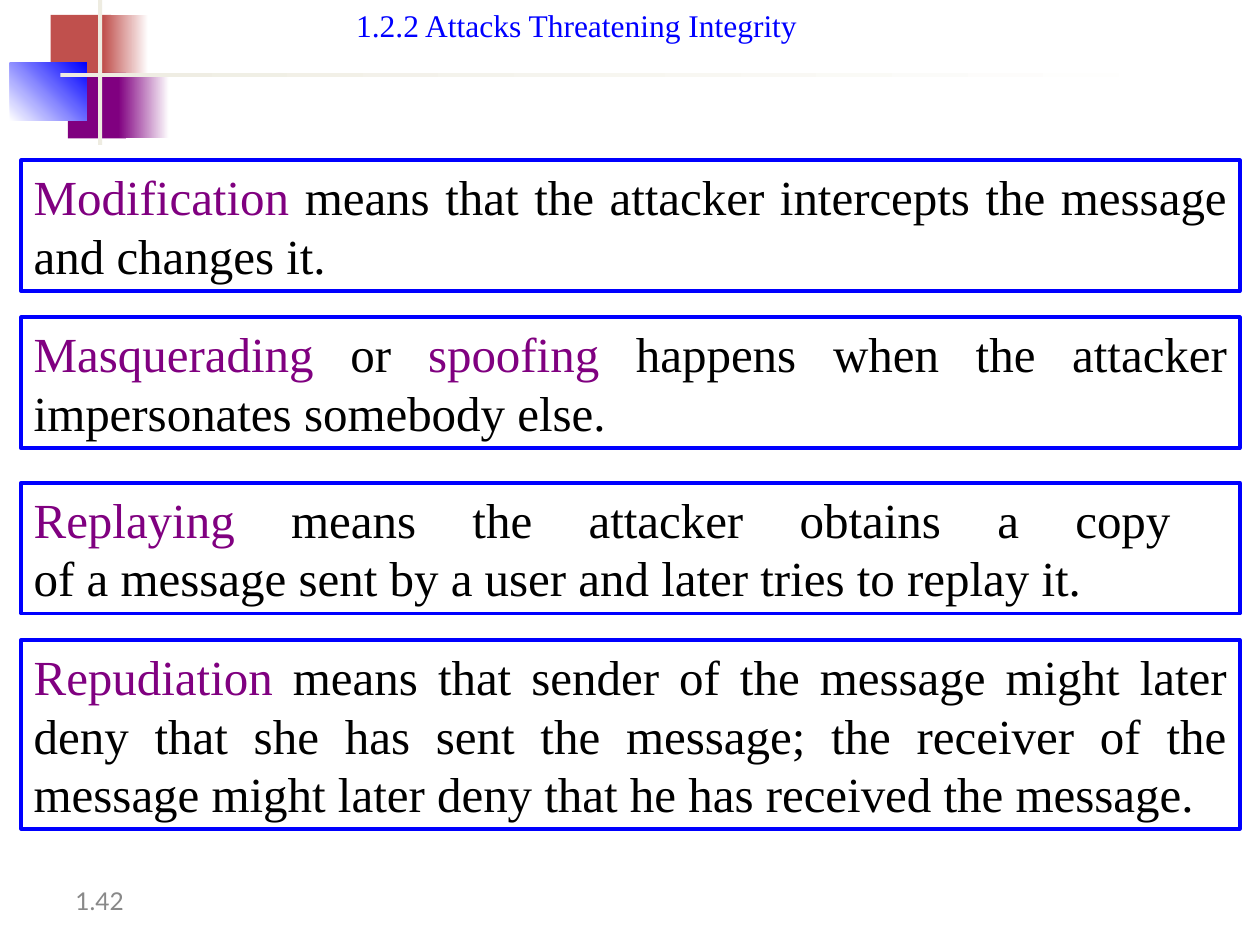
from pptx import Presentation
from pptx.dml.color import RGBColor
from pptx.enum.shapes import MSO_SHAPE
from pptx.enum.text import MSO_ANCHOR, PP_ALIGN
from pptx.util import Cm, Pt

BLUE = RGBColor(0x00, 0x00, 0xFF)
PURPLE = RGBColor(0x80, 0x00, 0x80)
RED = RGBColor(0xC0, 0x50, 0x4D)
CREAM = RGBColor(0xEE, 0xEC, 0xE1)
GREY = RGBColor(0x89, 0x89, 0x89)
BLACK = RGBColor(0x00, 0x00, 0x00)
WHITE = RGBColor(0xFF, 0xFF, 0xFF)

SERIF = "Times New Roman"
BREAK = "\n"

DECORATION = [
    ((1.02, 0.3, 1.22, 1.32), (RED,), 0),
    ((2.08, 0.3, 0.91, 1.32), (RED, WHITE), 0),
    ((1.37, 1.47, 1.17, 1.32), (PURPLE,), 0),
    ((2.39, 1.47, 1.02, 1.32), (PURPLE, WHITE), 0),
    ((0.2, 1.27, 1.55, 1.17), (WHITE, BLUE), 45),
    ((1.98, 0, 0.08, 2.92), (CREAM,), 0),
    ((1.22, 1.47, 22.86, 0.08), (CREAM, WHITE), 0),
]

ATTACKS = [
    (3.23, 2.64, [
        ("Modification ", PURPLE),
        ("means that the attacker intercepts the message and changes it.", BLACK),
    ]),
    (6.4, 2.64, [
        ("Masquerading", PURPLE),
        (" or ", BLACK),
        ("spoofing", PURPLE),
        (" happens when the attacker impersonates somebody else.", BLACK),
    ]),
    (9.73, 2.64, [
        ("Replaying", PURPLE),
        (" means the attacker obtains a copy ", BLACK),
        (BREAK, BLACK),
        ("of a message sent by a user and later tries to replay it.", BLACK),
    ]),
    (12.9, 3.81, [
        ("Repudiation", PURPLE),
        (" means that sender of the message might later deny that she has sent"
         " the message; the receiver of the message might later deny that he"
         " has received the message.", BLACK),
    ]),
]


class SlideBuilder:
    frame_format = {
        "word_wrap": True,
        "margin_left": Cm(0.25),
        "margin_right": Cm(0.25),
        "margin_top": Cm(0.13),
        "margin_bottom": Cm(0.13),
    }

    def __init__(self, slide):
        self.slide = slide

    def apply(self, target, values):
        for attribute, value in values.items():
            setattr(target, attribute, value)

    def rectangle(self, bounds):
        panel = self.slide.shapes.add_shape(MSO_SHAPE.RECTANGLE, *map(Cm, bounds))
        panel.shadow.inherit = False
        return panel

    def block(self, bounds, colours, angle):
        panel = self.rectangle(bounds)
        panel.line.fill.background()
        if len(colours) == 1:
            panel.fill.solid()
            panel.fill.fore_color.rgb = colours[0]
            return
        panel.fill.gradient()
        panel.fill.gradient_angle = angle
        for stop, colour in zip(panel.fill.gradient_stops, colours):
            stop.color.rgb = colour

    def fill_text(self, frame, parts, font, align, anchor):
        self.apply(frame, {**self.frame_format, "vertical_anchor": anchor})
        paragraph = frame.paragraphs[0]
        paragraph.alignment = align
        for words, colour in parts:
            if words == BREAK:
                paragraph.add_line_break()
                continue
            run = paragraph.add_run()
            run.text = words
            self.apply(run.font, font)
            run.font.color.rgb = colour

    def label(self, bounds, words, colour, font, anchor=MSO_ANCHOR.TOP):
        box = self.slide.shapes.add_textbox(*map(Cm, bounds))
        self.fill_text(box.text_frame, [(words, colour)], font, PP_ALIGN.LEFT, anchor)

    def definition(self, bounds, parts):
        panel = self.rectangle(bounds)
        panel.fill.background()
        panel.line.color.rgb = BLUE
        panel.line.width = Pt(2.25)
        font = {"name": SERIF, "size": Pt(28)}
        self.fill_text(panel.text_frame, parts, font, PP_ALIGN.JUSTIFY, MSO_ANCHOR.TOP)


def main():
    deck = Presentation()
    deck.slide_width, deck.slide_height = Cm(25.4), Cm(19.05)
    builder = SlideBuilder(deck.slides.add_slide(deck.slide_layouts[6]))
    builder.label((1.27, 17.65, 14.22, 1.02), "1.42", GREY,
                  {"name": "Lato", "size": Pt(14)}, MSO_ANCHOR.MIDDLE)
    for bounds, colours, angle in DECORATION:
        builder.block(bounds, colours, angle)
    builder.label((6.93, 0, 9.6, 1.02), "1.2.2 Attacks Threatening Integrity", BLUE,
                  {"name": SERIF, "size": Pt(18)})
    for top, height, parts in ATTACKS:
        builder.definition((0.43, top, 24.56, height), parts)
    deck.save("out.pptx")


if __name__ == "__main__":
    main()
